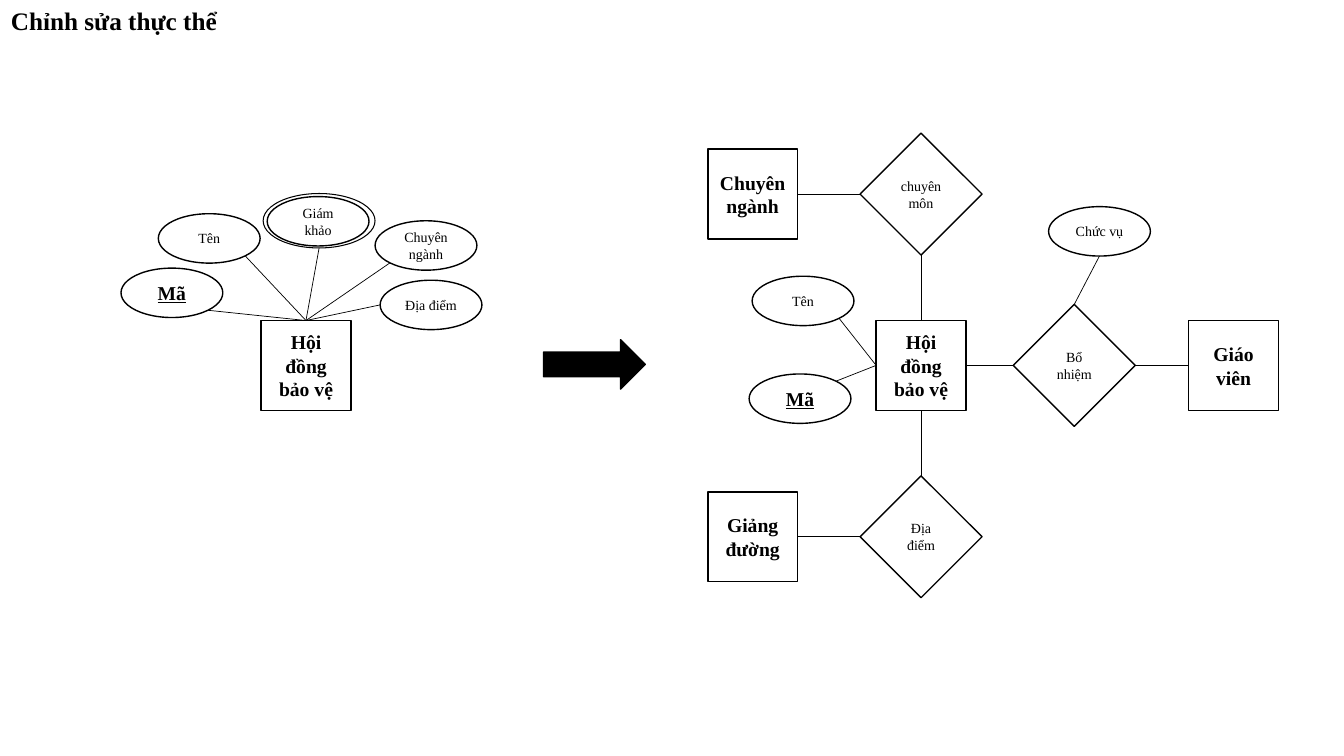
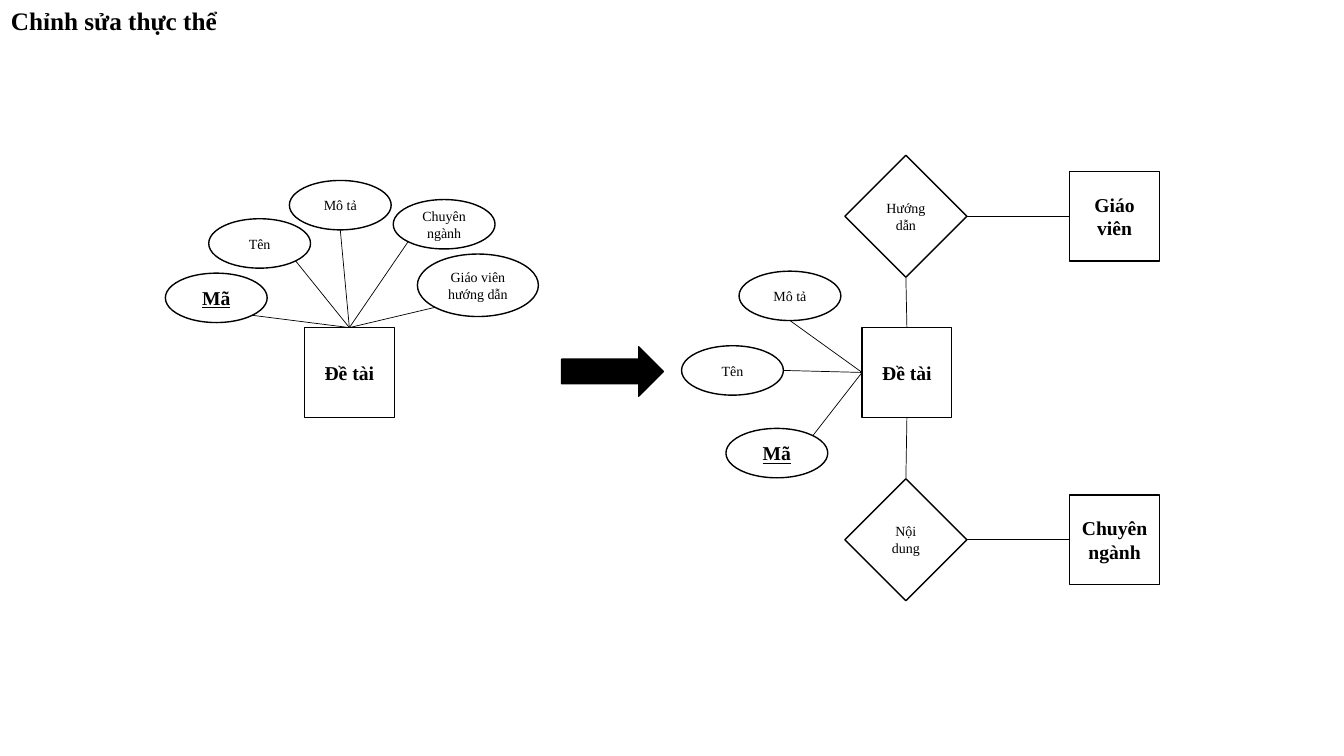
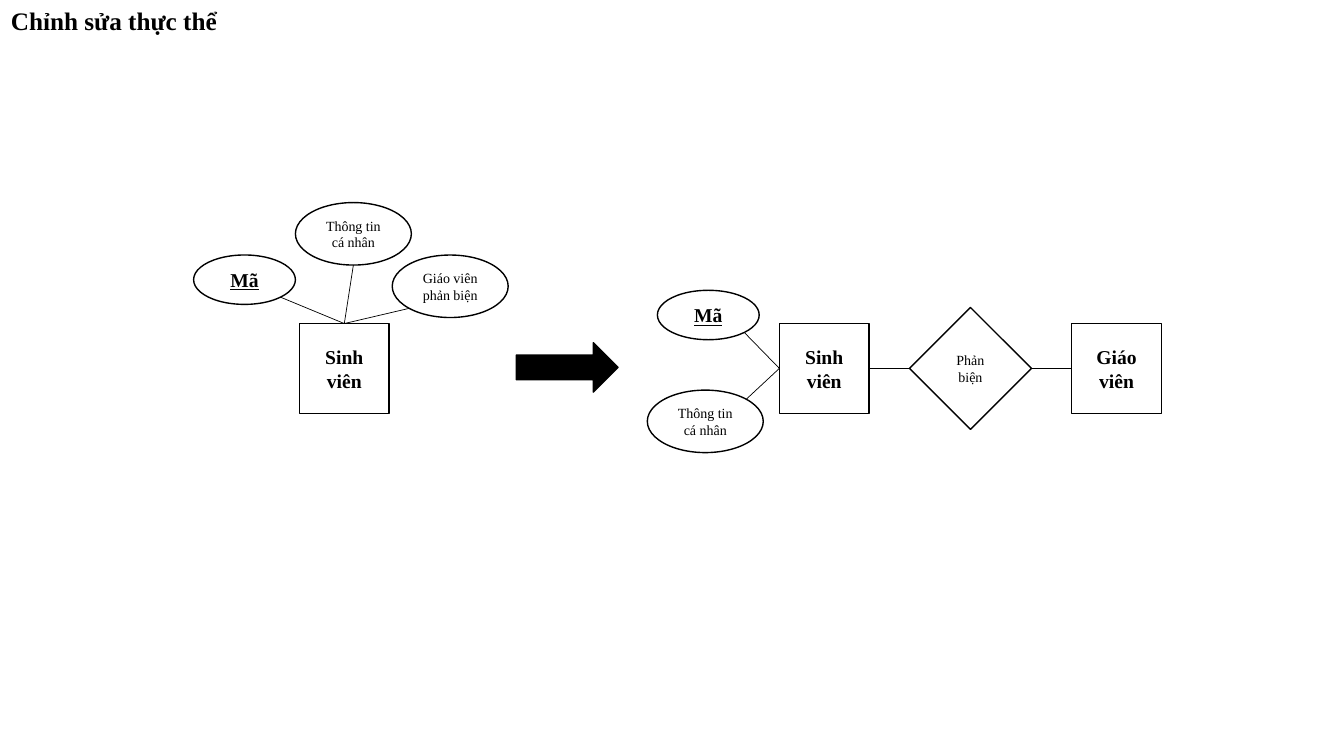
from dataclasses import dataclass
from math import hypot

from lxml import etree
from pptx import Presentation
from pptx.dml.color import RGBColor
from pptx.enum.shapes import MSO_CONNECTOR, MSO_SHAPE
from pptx.enum.text import MSO_ANCHOR, MSO_AUTO_SIZE, PP_ALIGN
from pptx.oxml.ns import qn
from pptx.util import Inches, Pt

RECTANGLE = MSO_SHAPE.RECTANGLE
OVAL = MSO_SHAPE.OVAL
DIAMOND = MSO_SHAPE.DIAMOND
RIGHT_ARROW = MSO_SHAPE.RIGHT_ARROW
STRAIGHT = MSO_CONNECTOR.STRAIGHT
CENTER = PP_ALIGN.CENTER
MIDDLE = MSO_ANCHOR.MIDDLE
FIT_SHAPE = MSO_AUTO_SIZE.SHAPE_TO_FIT_TEXT


@dataclass(frozen=True)
class Theme:
    font: str = "Times New Roman"
    ink: RGBColor = RGBColor(0, 0, 0)
    paper: RGBColor = RGBColor(255, 255, 255)
    title_size: int = 18
    strong_size: int = 14
    small_size: int = 10
    outline: float = 1
    ring_line: float = 0.75
    link_line: float = 0.5
    inset: float = 0.08


THEME = Theme()
TITLE = "Chỉnh sửa thực thể"

KINDS = {
    "entity": (RECTANGLE, 0.89, 0.89),
    "relation": (DIAMOND, 1.21, 1.21),
    "key": (OVAL, 1.01, 0.49),
    "attribute": (OVAL, 1.01, 0.49),
    "wide attribute": (OVAL, 1.15, 0.62),
    "widest attribute": (OVAL, 1.2, 0.62),
    "ring": (OVAL, 1.11, 0.54),
    "arrow": (RIGHT_ARROW, 1.01, 0.49),
}
STRONG_KINDS = ("entity", "key")

COMPASS = {
    "n": (0, -1), "s": (0, 1), "w": (-1, 0), "e": (1, 0),
    "ne": (1, -1), "se": (1, 1), "sw": (-1, 1),
}

COUNCIL = {
    "nodes": {
        "council": ("entity", "Hội đồng bảo vệ", 2.59, 3.18),
        "judges": ("attribute", "Giám khảo", 2.65, 1.95),
        "judges ring": ("ring", "", 2.61, 1.92),
        "place": ("attribute", "Địa điểm", 3.77, 2.78),
        "major": ("attribute", "Chuyên ngành", 3.72, 2.19),
        "code": ("key", "Mã", 1.2, 2.66),
        "name": ("attribute", "Tên", 1.57, 2.12),
        "arrow": ("arrow", "", 5.39, 3.37),
        "new council": ("entity", "Hội đồng bảo vệ", 8.69, 3.18),
        "new major": ("entity", "Chuyên ngành", 7.02, 1.48),
        "teacher": ("entity", "Giáo viên", 11.79, 3.18),
        "hall": ("entity", "Giảng đường", 7.02, 4.88),
        "new code": ("key", "Mã", 7.43, 3.71),
        "new name": ("attribute", "Tên", 7.46, 2.74),
        "role": ("attribute", "Chức vụ", 10.4, 2.05),
        "specialises": ("relation", "chuyên môn", 8.53, 1.32),
        "appoints": ("relation", "Bổ nhiệm", 10.05, 3.02),
        "located": ("relation", "Địa điểm", 8.53, 4.72),
    },
    "links": [
        ("council", "n", "major", "sw"),
        ("council", "n", "place", "w"),
        ("council", "n", "judges ring", "s"),
        ("council", "n", "code", "se"),
        ("council", "n", "name", "se"),
        ("new council", "w", "new code", "ne"),
        ("new council", "w", "new name", "se"),
        ("new council", "n", "specialises", "s"),
        ("specialises", "w", "new major", "e"),
        ("new council", "s", "located", "n"),
        ("located", "w", "hall", "e"),
        ("new council", "e", "appoints", "w"),
        ("appoints", "e", "teacher", "w"),
        ("role", "s", "appoints", "n"),
    ],
}

TOPIC = {
    "nodes": {
        "topic": ("entity", "Đề tài", 3.02, 3.25),
        "major": ("attribute", "Chuyên ngành", 3.9, 1.98),
        "supervisor": ("widest attribute", "Giáo viên hướng dẫn", 4.14, 2.52),
        "code": ("key", "Mã", 1.64, 2.71),
        "name": ("attribute", "Tên", 2.07, 2.17),
        "summary": ("attribute", "Mô tả", 2.87, 1.79),
        "arrow": ("arrow", "", 5.57, 3.44),
        "new topic": ("entity", "Đề tài", 8.55, 3.25),
        "new code": ("key", "Mã", 7.2, 4.25),
        "new name": ("attribute", "Tên", 6.76, 3.43),
        "new summary": ("attribute", "Mô tả", 7.33, 2.69),
        "new major": ("entity", "Chuyên ngành", 10.61, 4.91),
        "teacher": ("entity", "Giáo viên", 10.61, 1.7),
        "covers": ("relation", "Nội dung", 8.38, 4.75),
        "guides": ("relation", "Hướng dẫn", 8.38, 1.54),
    },
    "links": [
        ("topic", "n", "code", "se"),
        ("topic", "n", "name", "se"),
        ("topic", "n", "summary", "s"),
        ("topic", "n", "major", "sw"),
        ("topic", "n", "supervisor", "sw"),
        ("new topic", "w", "new code", "ne"),
        ("new topic", "w", "new name", "e"),
        ("new topic", "w", "new summary", "s"),
        ("new topic", "n", "guides", "s"),
        ("new topic", "s", "covers", "n"),
        ("new major", "w", "covers", "e"),
        ("teacher", "w", "guides", "e"),
    ],
}

STUDENT = {
    "nodes": {
        "student": ("entity", "Sinh viên", 2.97, 3.21),
        "reviewer": ("wide attribute", "Giáo viên phản biện", 3.89, 2.53),
        "code": ("key", "Mã", 1.92, 2.53),
        "profile": ("wide attribute", "Thông tin cá nhân", 2.93, 2.01),
        "arrow": ("arrow", "", 5.12, 3.4),
        "new student": ("entity", "Sinh viên", 7.73, 3.21),
        "new code": ("key", "Mã", 6.52, 2.88),
        "new profile": ("wide attribute", "Thông tin cá nhân", 6.42, 3.87),
        "teacher": ("entity", "Giáo viên", 10.63, 3.21),
        "reviews": ("relation", "Phản biện", 9.02, 3.05),
    },
    "links": [
        ("student", "n", "reviewer", "sw"),
        ("student", "n", "code", "se"),
        ("student", "n", "profile", "s"),
        ("new student", "w", "new code", "se"),
        ("new student", "w", "new profile", "ne"),
        ("reviews", "w", "new student", "e"),
        ("teacher", "w", "reviews", "e"),
    ],
}


def style_font(para, size, bold):
    font = para.font
    font.name = THEME.font
    font.size = Pt(size)
    font.bold = bold
    font.color.rgb = THEME.ink
    return font


def add_title(page):
    box = page.shapes.add_textbox(Inches(0.01), 0, Inches(2.26), Inches(0.4))
    frame = box.text_frame
    frame.word_wrap = False
    frame.auto_size = FIT_SHAPE
    frame.text = TITLE
    style_font(frame.paragraphs[0], THEME.title_size, True)


def write_label(shape, kind, label):
    frame = shape.text_frame
    frame.word_wrap = True
    frame.vertical_anchor = MIDDLE
    frame.margin_left = frame.margin_right = Inches(THEME.inset)
    frame.text = label
    para = frame.paragraphs[0]
    para.alignment = CENTER
    strong = kind in STRONG_KINDS
    font = style_font(para, THEME.strong_size if strong else THEME.small_size, strong)
    font.underline = kind == "key"


def add_node(page, kind, label, left, top):
    preset, width, height = KINDS[kind]
    shape = page.shapes.add_shape(
        preset, Inches(left), Inches(top), Inches(width), Inches(height))
    shape.shadow.inherit = False
    shape.line.color.rgb = THEME.ink
    shape.line.width = Pt(THEME.ring_line if kind == "ring" else THEME.outline)
    if kind == "ring":
        shape.fill.background()
    else:
        shape.fill.solid()
        shape.fill.fore_color.rgb = THEME.ink if kind == "arrow" else THEME.paper
    if label:
        write_label(shape, kind, label)


def edge_point(node, side):
    kind, _, left, top = node
    _, width, height = KINDS[kind]
    across, down = COMPASS[side]
    reach = hypot(across, down)
    return (Inches(left + width / 2 * (1 + across / reach)),
            Inches(top + height / 2 * (1 + down / reach)))


def add_link(page, start, end):
    link = page.shapes.add_connector(STRAIGHT, *start, *end)
    link.line.color.rgb = THEME.ink
    link.line.width = Pt(THEME.link_line)
    etree.SubElement(link._element.spPr, qn("a:effectLst"))


def add_diagram(deck, nodes, links):
    page = deck.slides.add_slide(deck.slide_layouts[6])
    for node in nodes.values():
        add_node(page, *node)
    for first, first_side, second, second_side in links:
        add_link(page, edge_point(nodes[first], first_side),
                 edge_point(nodes[second], second_side))
    add_title(page)


deck = Presentation()
deck.slide_width = Inches(13.33)
deck.slide_height = Inches(7.5)
for diagram in (COUNCIL, TOPIC, STUDENT):
    add_diagram(deck, **diagram)
deck.save("out.pptx")
